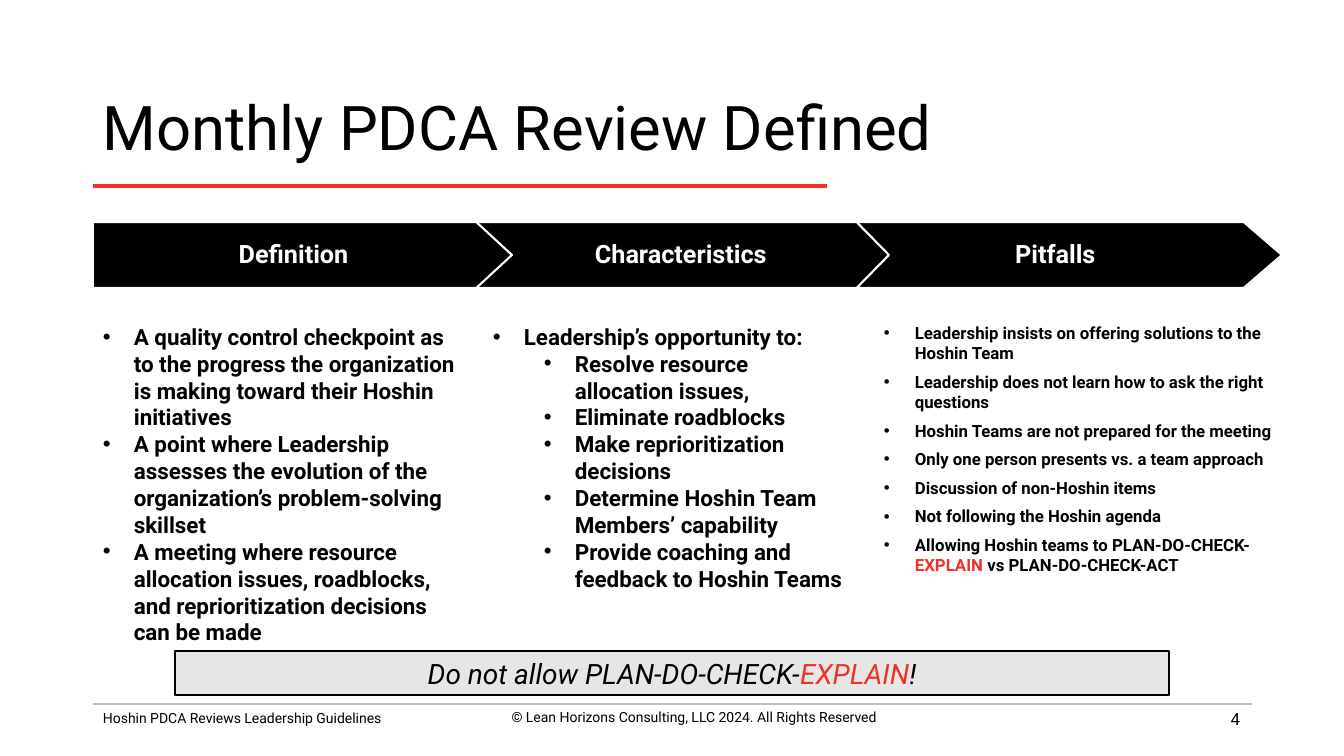
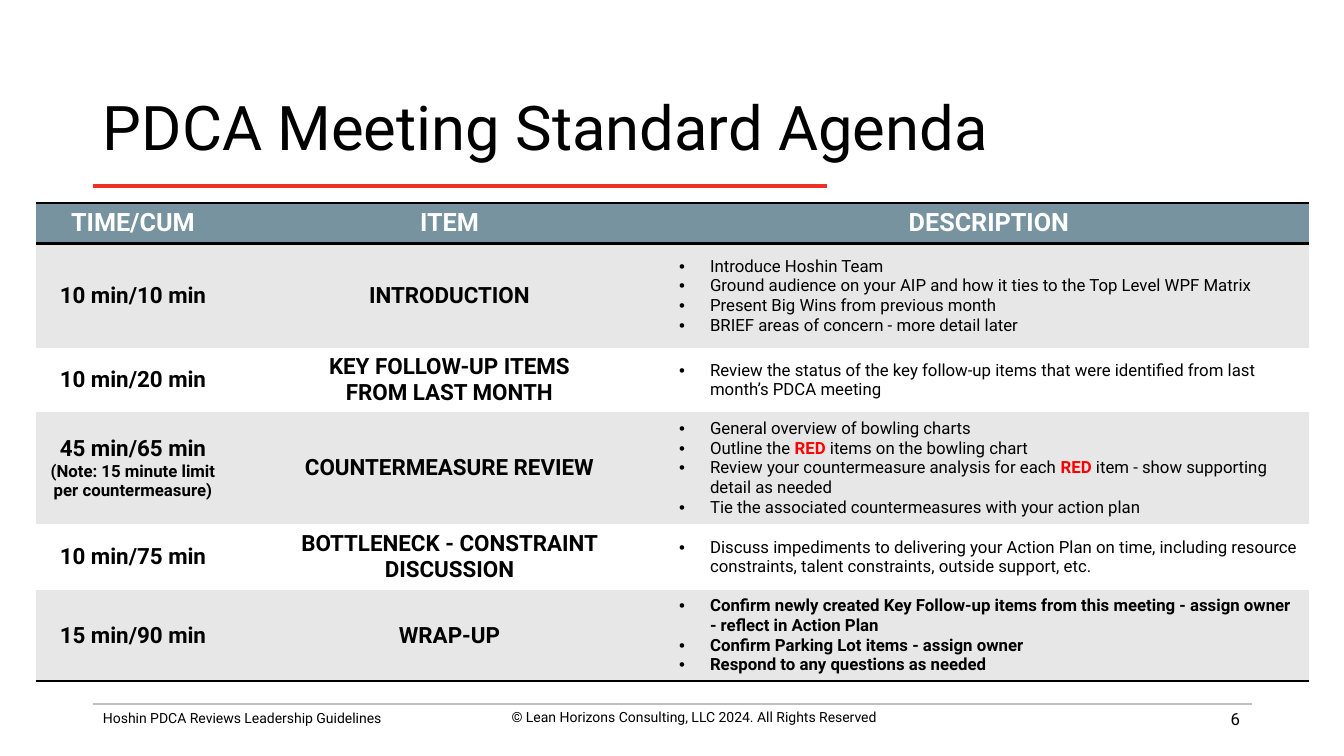
import pptx
import pptx.util
import pptx.dml.color
import pptx.enum.shapes
import pptx.enum.text
import lxml.etree
from dataclasses import dataclass

SHAPE = pptx.enum.shapes.MSO_SHAPE
ALIGN = pptx.enum.text.PP_ALIGN
ANCHOR = pptx.enum.text.MSO_ANCHOR
NS = "http://schemas.openxmlformats.org/drawingml/2006/main"


@dataclass(frozen=True)
class Theme:
    font: str = "Roboto"
    black: str = "000000"
    white: str = "FFFFFF"
    accent: str = "EE3228"
    alert: str = "FF0000"
    rule: str = "BFBFBF"
    banner: str = "E7E6E6"
    header: str = "76939F"
    band: str = "E7E7E7"
    title: int = 44
    callout: int = 20
    heading: int = 18
    body: int = 16
    small: int = 12
    footer: int = 10


T = Theme()

# Content: *word* takes the highlight colour; a (text, format) pair overrides one paragraph
FOOTER = "Hoshin PDCA Reviews Leadership Guidelines"
COPYRIGHT = "© Lean Horizons Consulting, LLC 2024. All Rights Reserved"
NESTED = dict(indent=82)

REVIEW_TITLE = "Monthly PDCA Review Defined"
REVIEW_COLUMNS = [
    dict(heading="Definition", width=419, point=0.54, shift=0,
         list_width=377, size=T.body, gap=0, items=[
             "A quality control checkpoint as to the progress the organization "
             "is making toward their Hoshin initiatives",
             "A point where Leadership assesses the evolution of the "
             "organization’s problem-solving skillset",
             "A meeting where resource allocation issues, roadblocks, and "
             "reprioritization decisions can be made"]),
    dict(heading="Characteristics", width=419, point=0.49, shift=19,
         list_width=377, size=T.body, gap=0, items=[
             "Leadership’s opportunity to:",
             ("Resolve resource allocation issues,", NESTED),
             ("Eliminate roadblocks", NESTED),
             ("Make reprioritization decisions", NESTED),
             ("Determine Hoshin Team Members’ capability", NESTED),
             ("Provide coaching and feedback to Hoshin Teams", NESTED)]),
    dict(heading="Pitfalls", width=434, point=0.58, shift=0,
         list_width=419, size=T.small, gap=6, items=[
             "Leadership insists on offering solutions to the Hoshin Team",
             "Leadership does not learn how to ask the right questions",
             "Hoshin Teams are not prepared for the meeting",
             "Only one person presents vs. a team approach",
             "Discussion of non-Hoshin items",
             "Not following the Hoshin agenda",
             "Allowing Hoshin teams to PLAN-DO-CHECK-*EXPLAIN* vs PLAN-DO-CHECK-ACT"]),
]
CALLOUT = "Do not allow PLAN-DO-CHECK-*EXPLAIN*!"

AGENDA_TITLE = "PDCA Meeting Standard Agenda"
AGENDA_WIDTHS = [194, 439, 640]
AGENDA_HEIGHTS = [40, 105, 62, 112, 66, 89]
AGENDA_HEAD = ["TIME/CUM", "ITEM", "DESCRIPTION"]
AGENDA = [
    (["10 min/10 min"], ["INTRODUCTION"],
     ["Introduce Hoshin Team",
      "Ground audience on your AIP and how it ties to the Top Level WPF Matrix",
      "Present Big Wins from previous month",
      "BRIEF areas of concern - more detail later"]),
    (["10 min/20 min"], ["KEY FOLLOW-UP ITEMS", "FROM LAST MONTH"],
     ["Review the status of the key follow-up items that were identified "
      "from last month’s PDCA meeting"]),
    (["45 min/65 min",
      ("(Note: 15 minute limit per countermeasure)", dict(size=T.small))],
     ["COUNTERMEASURE REVIEW"],
     ["General overview of bowling charts",
      "Outline the *RED* items on the bowling chart",
      "Review your countermeasure analysis for each *RED* item - show "
      "supporting detail as needed",
      "Tie the associated countermeasures with your action plan"]),
    (["10 min/75 min"], ["BOTTLENECK - CONSTRAINT DISCUSSION"],
     ["Discuss impediments to delivering your Action Plan on time, including "
      "resource constraints, talent constraints, outside support, etc."]),
    (["15 min/90 min"], ["WRAP-UP"],
     ["Confirm newly created Key Follow-up items from this meeting - assign "
      "owner - reflect in Action Plan",
      "Confirm Parking Lot items - assign owner",
      "Respond to any questions as needed"]),
]


# Helpers
def px(n):
    return pptx.util.Emu(round(n * 914400 / 100.8))


def rgb(value):
    return pptx.dml.color.RGBColor.from_string(value)


def sub(parent, tag, **attrs):
    return lxml.etree.SubElement(parent, f"{{{NS}}}{tag}", **attrs)


def add_paragraph(p, text, size=T.body, color=T.black, bold=False, italic=False,
                  align=ALIGN.LEFT, bullet=False, indent=None, gap=0,
                  spacing=None, highlight=T.accent, highlight_bold=None):
    p.alignment = align
    pPr = p._p.get_or_add_pPr()
    if bullet:
        pPr.set("marL", str(px(indent or 31)))
        pPr.set("indent", str(px(-31)))
        sub(pPr, "buFont", typeface="Arial")
        sub(pPr, "buChar", char="•")
    elif indent:
        pPr.set("marL", str(px(indent)))
    if gap:
        p.space_before = pptx.util.Pt(gap)
    if spacing:
        p.line_spacing = spacing
    for i, part in enumerate(text.split("*")):
        marked = i % 2 == 1
        r = p.add_run()
        r.text = part
        r.font.name = T.font
        r.font.size = pptx.util.Pt(size)
        r.font.italic = italic
        r.font.bold = highlight_bold if marked and highlight_bold else bold
        r.font.color.rgb = rgb(highlight if marked else color)


def write(tf, text, anchor=ANCHOR.TOP, **fmt):
    tf.word_wrap = True
    tf.vertical_anchor = anchor
    for i, item in enumerate([text] if isinstance(text, str) else text):
        line, extra = (item, {}) if isinstance(item, str) else item
        options = {**fmt, **extra}
        if i == 0:
            options["gap"] = 0
        add_paragraph(tf.paragraphs[0] if i == 0 else tf.add_paragraph(), line, **options)


def add_text(s, box, text, **fmt):
    write(s.shapes.add_textbox(*map(px, box)).text_frame, text, **fmt)


def add_box(s, kind, box, fill, line, weight):
    sp = s.shapes.add_shape(kind, *map(px, box))
    sp.shadow.inherit = False
    sp.fill.solid()
    sp.fill.fore_color.rgb = rgb(fill)
    sp.line.color.rgb = rgb(line)
    sp.line.width = pptx.util.Pt(weight)
    return sp


def add_rule(s, x1, x2, y, color, weight):
    line = s.shapes.add_connector(pptx.enum.shapes.MSO_CONNECTOR.STRAIGHT,
                                  px(x1), px(y), px(x2), px(y))
    line.line.color.rgb = rgb(color)
    line.line.width = pptx.util.Pt(weight)
    sub(line._element.spPr, "effectLst")


def add_border(cell, side):
    ln = sub(cell._tc.get_or_add_tcPr(), side, w=str(pptx.util.Pt(2)))
    sub(sub(ln, "solidFill"), "srgbClr", val=T.black)


def new_slide(prs, title, number):
    s = prs.slides.add_slide(prs.slide_layouts[6])
    add_rule(s, 93, 1252, 704, T.rule, 2)
    add_text(s, (93, 705, 460, 27), FOOTER, size=T.footer)
    add_text(s, (464, 704, 460, 44), COPYRIGHT, size=T.footer, align=ALIGN.CENTER)
    add_text(s, (948, 699, 302, 40), str(number), size=T.small,
             align=ALIGN.RIGHT, anchor=ANCHOR.MIDDLE)
    add_rule(s, 93, 827, 186, T.accent, 3)
    add_text(s, (93, 75, 1159, 111), title, size=T.title, spacing=0.9,
             anchor=ANCHOR.MIDDLE)
    return s


# Slides
def build_review(prs):
    s = new_slide(prs, REVIEW_TITLE, 4)
    # Arrows run right to left so that each one overlaps the next
    for i, col in reversed(list(enumerate(REVIEW_COLUMNS))):
        sp = add_box(s, SHAPE.PENTAGON, (93 + int(i * 377.5), 222, col["width"], 66),
                     T.black, T.white, 1.5)
        sp.adjustments[0] = col["point"]
        tf = sp.text_frame
        tf.margin_left = tf.margin_right = tf.margin_top = tf.margin_bottom = px(5)
        write(tf, col["heading"], size=T.heading, color=T.white, bold=True,
              align=ALIGN.CENTER, anchor=ANCHOR.MIDDLE, indent=col["shift"], spacing=0.95)
    for i, col in enumerate(REVIEW_COLUMNS):
        add_text(s, (93 + int(i * 390.5), 318, col["list_width"], 336), col["items"],
                 size=col["size"], gap=col["gap"], bold=True, bullet=True)
    banner = add_box(s, SHAPE.RECTANGLE, (175, 651, 994, 44), T.banner, T.black, 2)
    write(banner.text_frame, CALLOUT, size=T.callout, italic=True,
          align=ALIGN.CENTER, anchor=ANCHOR.BOTTOM)


def build_agenda(prs):
    s = new_slide(prs, AGENDA_TITLE, 6)
    frame = s.shapes.add_table(len(AGENDA_HEIGHTS), len(AGENDA_WIDTHS), px(36), px(203),
                               px(sum(AGENDA_WIDTHS)), px(sum(AGENDA_HEIGHTS)))
    table = frame.table
    # Plain table style without grid lines
    style = next(frame._element.iter(f"{{{NS}}}tableStyleId"))
    style.text = "{2D5ABB26-0587-4C30-8999-92F81FD0307C}"
    table.horz_banding = False
    for column, width in zip(table.columns, AGENDA_WIDTHS):
        column.width = px(width)
    for row, height in zip(table.rows, AGENDA_HEIGHTS):
        row.height = px(height)

    last = len(AGENDA)
    for r, texts in enumerate([AGENDA_HEAD] + AGENDA):
        for c, text in enumerate(texts):
            cell = table.cell(r, c)
            if r == 0:
                add_border(cell, "lnT")
            if r in (0, last):
                add_border(cell, "lnB")
            cell.fill.solid()
            cell.fill.fore_color.rgb = rgb(
                T.header if r == 0 else T.band if r % 2 else T.white)
            cell.vertical_anchor = ANCHOR.MIDDLE
            if r == 0:
                fmt = dict(size=T.heading, color=T.white, bold=True, align=ALIGN.CENTER)
            elif c == 2:
                fmt = dict(size=T.small, bold=r == last, bullet=True,
                           highlight=T.alert, highlight_bold=True)
            else:
                fmt = dict(size=T.body, bold=True, align=ALIGN.CENTER)
            write(cell.text_frame, text, anchor=ANCHOR.MIDDLE, **fmt)


def main():
    prs = pptx.Presentation()
    prs.slide_width, prs.slide_height = px(1344), px(756)
    build_review(prs)
    build_agenda(prs)
    prs.save("out.pptx")


if __name__ == "__main__":
    main()
